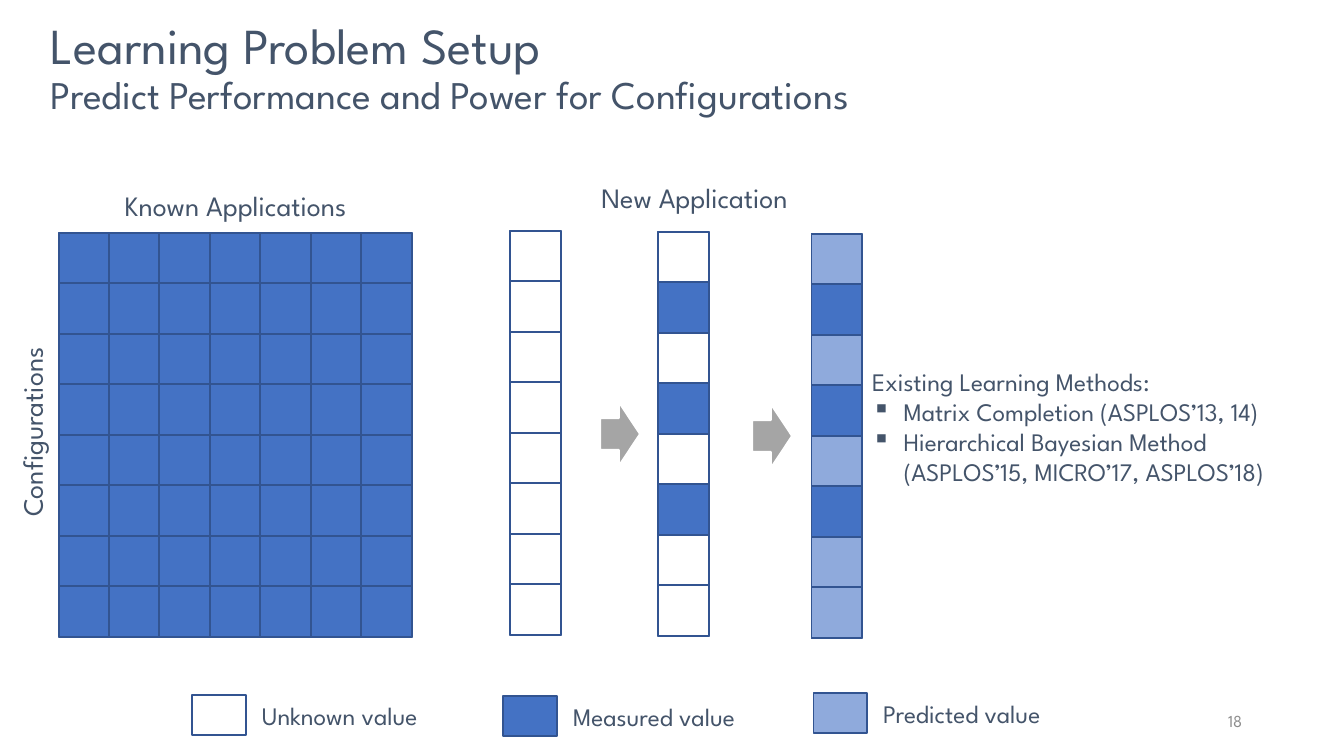
from pptx import Presentation
from pptx import util as u
from pptx.dml.color import RGBColor
from pptx.enum import shapes, text
from lxml import etree

PX = 914400 / 100.8
theme = {
    "font": "League Spartan",
    "ink": "44546A", "page": "8C8C8C", "edge": "325491",
    "arrow": "A5A5A5", "white": "FFFFFF",
    "fill": {"U": None, "W": "FFFFFF", "M": "4472C4", "P": "8FAADC"},
    "size": {"title": 36, "sub": 28, "head": 20, "body": 18, "page": 12},
}
kind = shapes.MSO_SHAPE
side = text.PP_ALIGN

deck = Presentation()
deck.slide_width, deck.slide_height = u.Inches(13.33), u.Inches(7.5)
slide = deck.slides.add_slide(deck.slide_layouts[6])


def draw(form, box, fill, edge=theme["edge"], width=1):
    shape = slide.shapes.add_shape(form, *[round(v * PX) for v in box])
    shape.shadow.inherit = False
    if fill:
        shape.fill.solid()
        shape.fill.fore_color.rgb = RGBColor.from_string(fill)
    else:
        shape.fill.background()
    shape.line.color.rgb = RGBColor.from_string(edge)
    shape.line.width = u.Pt(width)
    return shape


def write(box, lines, align=side.LEFT, color=theme["ink"], space=None, bullet=False):
    label = slide.shapes.add_textbox(*[round(v * PX) for v in box])
    frame = label.text_frame
    frame.word_wrap = True
    for i, (words, size) in enumerate(lines):
        para = frame.add_paragraph() if i else frame.paragraphs[0]
        if bullet and i:
            props = para._p.get_or_add_pPr()
            props.set("marL", "285750")
            props.set("indent", "-285750")
            space_name = "{http://schemas.openxmlformats.org/drawingml/2006/main}"
            etree.SubElement(props, space_name + "buChar", char="▪")
        para.alignment = align
        para.line_spacing = space
        run = para.add_run()
        run.text = words
        look = {"name": theme["font"], "size": u.Pt(theme["size"][size])}
        for key, value in look.items():
            setattr(run.font, key, value)
        run.font.color.rgb = RGBColor.from_string(color)
    return label


write((41, 16, 1259, 61), [
    ("Learning Problem Setup", "title"),
    ("Predict Performance and Power for Configurations", "sub"),
], space=0.9)

tables = [
    (59, 233, 353, 7, "MMMMMMMM"),
    (510, 231, 51, 1, "UUUUUUUU"),
    (658, 232, 51, 1, "UMUMUMUU"),
    (811, 234, 51, 1, "PMPMPMPP"),
]
tall = 404
for left, top, wide, cols, codes in tables:
    draw(kind.RECTANGLE, (left, top, wide, tall), None)
    rows = len(codes)
    for row, code in enumerate(codes):
        for col in range(cols):
            x, y = wide * col // cols, tall * row // rows
            w = wide * (col + 1) // cols - x
            h = tall * (row + 1) // rows - y
            draw(kind.RECTANGLE, (left + x, top + y, w, h), theme["fill"][code])

for left, top in [(600, 402), (752, 404)]:
    arrow = draw(kind.RIGHT_ARROW, (left, top, 40, 64), theme["arrow"], theme["white"], 1.5)
    arrow.adjustments[0], arrow.adjustments[1] = 0.5, 0.53

heads = [
    ("Known Applications", (59, 184, 353, 44), 0),
    ("New Application", (551, 176, 287, 44), 0),
    ("Configurations", (-169, 410, 402, 44), 270),
]
for words, box, turn in heads:
    write(box, [(words, "head")], side.CENTER).rotation = turn

legend = [
    ("Unknown value", "W", 192, 695),
    ("Measured value", "M", 503, 696),
    ("Predicted value", "P", 813, 693),
]
for words, code, left, top in legend:
    draw(kind.RECTANGLE, (left, top, 54, 40), theme["fill"][code])
    write((left + 60, top, 266, 40), [(words, "body")])

write((862, 361, 475, 132), [
    ("Existing Learning Methods:", "body"),
    ("Matrix Completion (ASPLOS’13, 14)", "body"),
    ("Hierarchical Bayesian Method (ASPLOS’15, MICRO’17, ASPLOS’18)", "body"),
], bullet=True)

page = write((950, 701, 302, 40), [("18", "page")], side.RIGHT, theme["page"])
page.text_frame.vertical_anchor = text.MSO_ANCHOR.MIDDLE

deck.save("out.pptx")
